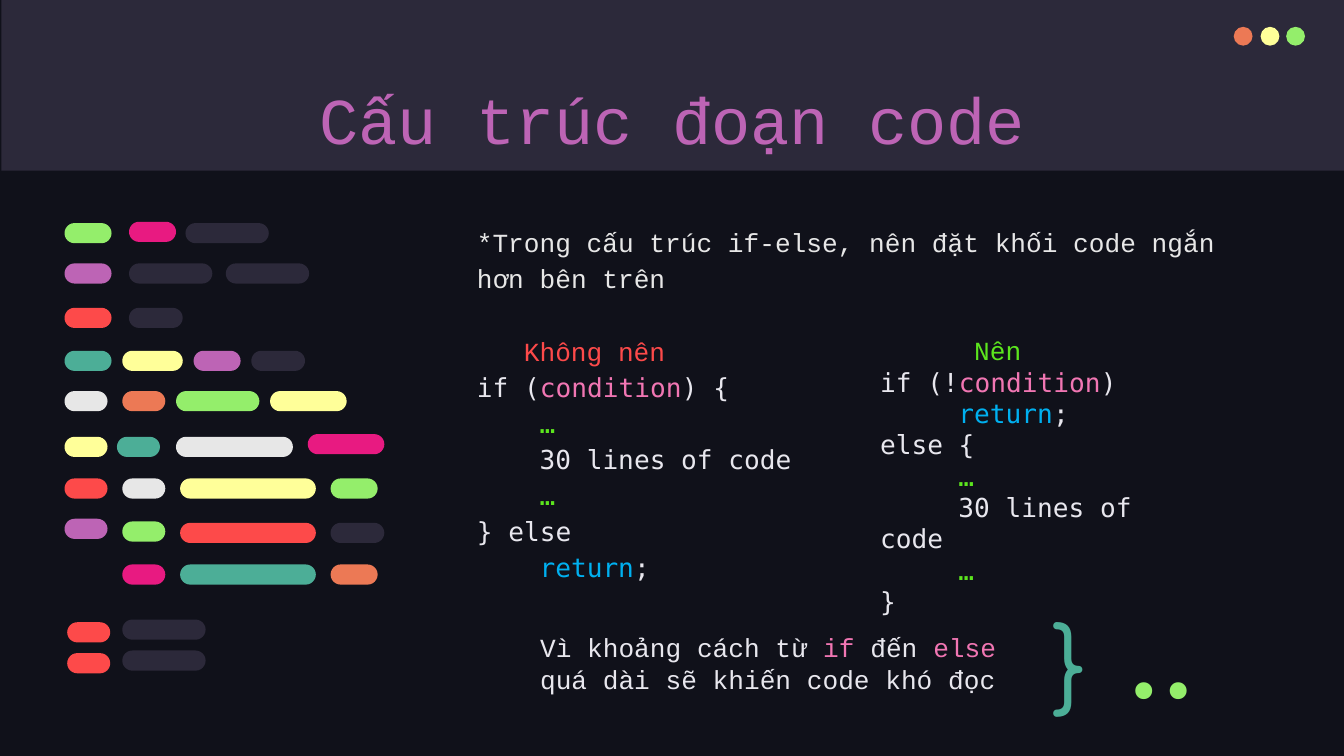
from pptx import Presentation
from pptx.dml.color import RGBColor
from pptx.enum.shapes import MSO_SHAPE
from pptx.enum.text import MSO_ANCHOR, PP_ALIGN
from pptx.util import Inches, Pt

RECTANGLE, ELLIPSE, PILL = MSO_SHAPE.RECTANGLE, MSO_SHAPE.OVAL, MSO_SHAPE.ROUNDED_RECTANGLE
TOP, MIDDLE = MSO_ANCHOR.TOP, MSO_ANCHOR.MIDDLE
LEFT, CENTER, RIGHT = PP_ALIGN.LEFT, PP_ALIGN.CENTER, PP_ALIGN.RIGHT

COLORS = {
    "background": "10111A", "panel": "2C293A", "orange": "EC7955",
    "yellow": "FFFF99", "green": "94EE6B", "purple": "BD64B5",
    "magenta": "E81A81", "red": "FD4A4A", "teal": "4CAE97",
    "grey": "E7E7E7", "code": "E8E7EE", "pink": "F176B3",
    "lime": "5CE51E", "blue": "00B0F0",
}
SLIDE_WIDTH = 10
SLIDE_HEIGHT = SLIDE_WIDTH * 9 / 16
PROSE, CODE = "Courier New", "DejaVu Sans Mono"
CODE_SIZE = 14
CHARACTER_WIDTH = 0.6 * CODE_SIZE / 72
PILL_HEIGHT = 0.15

TITLE = "Cấu trúc đoạn code"
WINDOW_DOTS = [(9.18, "orange"), (9.38, "yellow"), (9.57, "green")]

# Rows of the decorative code: top, then (left, width, color) of each pill
PILL_ROWS = [
    (1.66, [(0.48, 0.35, "green"), (1.38, 0.62, "panel")]),
    (1.65, [(0.96, 0.35, "magenta")]),
    (1.96, [(0.48, 0.35, "purple"), (0.96, 0.62, "panel"), (1.68, 0.62, "panel")]),
    (2.29, [(0.48, 0.35, "red"), (0.96, 0.4, "panel")]),
    (2.61, [(0.48, 0.35, "teal"), (0.91, 0.45, "yellow"), (1.44, 0.35, "purple"),
            (1.87, 0.4, "panel")]),
    (2.91, [(0.48, 0.32, "grey"), (0.91, 0.32, "orange"), (1.31, 0.62, "green"),
            (2.01, 0.57, "yellow")]),
    (3.25, [(0.48, 0.32, "yellow"), (0.87, 0.32, "teal"), (1.31, 0.87, "grey")]),
    (3.23, [(2.29, 0.57, "magenta")]),
    (3.56, [(0.48, 0.32, "red"), (0.91, 0.32, "grey"), (1.34, 1.01, "yellow"),
            (2.46, 0.35, "green")]),
    (3.86, [(0.48, 0.32, "purple")]),
    (3.88, [(0.91, 0.32, "green")]),
    (3.89, [(1.34, 1.01, "red"), (2.46, 0.4, "panel")]),
    (4.2, [(0.91, 0.32, "magenta"), (1.34, 1.01, "teal"), (2.46, 0.35, "orange")]),
    (4.61, [(0.91, 0.62, "panel")]),
    (4.63, [(0.5, 0.32, "red")]),
    (4.84, [(0.91, 0.62, "panel")]),
    (4.86, [(0.5, 0.32, "red")]),
]

# Lines of text: indent in characters, font, then (text, color) of each run
ADVICE = [(0, PROSE, [("*Trong cấu trúc if-else, nên đặt khối code ngắn hơn bên trên", "grey")])]
AVOID = [
    (3, PROSE, [("Không nên", "red")]),
    (0, CODE, [("if (", "code"), ("condition", "pink"), (") {", "code")]),
    (4, CODE, [("…", "lime")]),
    (4, CODE, [("30 lines of code", "code")]),
    (4, CODE, [("…", "lime")]),
    (0, CODE, [("} else", "code")]),
    (4, CODE, [("return", "blue"), (";", "code")]),
]
PREFER = [
    (6, PROSE, [("Nên", "lime")]),
    (0, CODE, [("if (!", "code"), ("condition", "pink"), (")", "code")]),
    (5, CODE, [("return", "blue"), (";", "code")]),
    (0, CODE, [("else {", "code")]),
    (5, CODE, [("…", "lime")]),
    (5, CODE, [("30 lines of code", "code")]),
    (5, CODE, [("…", "lime")]),
    (0, CODE, [("}", "code")]),
]
REASON = [(0, PROSE, [
    ("Vì khoảng cách từ ", "code"), ("if ", "pink"), ("đến ", "code"),
    ("else ", "pink"), ("quá dài sẽ khiến code khó đọc", "code"),
])]
BRACE = [(0, "Comfortaa", [("}", "teal")])]
DOTS = [(0, "Fira Code", [("..", "green")])]


def rgb(name):
    return RGBColor.from_string(COLORS[name])


def add_filled_shape(slide, kind, left, top, width, height, color):
    shape = slide.shapes.add_shape(
        kind, Inches(left), Inches(top), Inches(width), Inches(height))
    shape.shadow.inherit = False
    shape.fill.solid()
    shape.fill.fore_color.rgb = rgb(color)
    shape.line.fill.background()
    return shape


def write_lines(frame, lines, size=CODE_SIZE, align=LEFT, spacing=1.0,
                anchor=TOP, vertical_inset=0.1):
    frame.word_wrap = True
    frame.vertical_anchor = anchor
    frame.margin_left = frame.margin_right = Inches(0.1)
    frame.margin_top = frame.margin_bottom = Inches(vertical_inset)
    for index, (indent, font, runs) in enumerate(lines):
        paragraph = frame.add_paragraph() if index else frame.paragraphs[0]
        paragraph.alignment = align
        paragraph.line_spacing = spacing
        properties = paragraph._p.get_or_add_pPr()
        properties.set("marL", "0")
        properties.set("indent", str(Inches(indent * CHARACTER_WIDTH)))
        for text, color in runs:
            run = paragraph.add_run()
            run.text = text
            run.font.name = font
            run.font.size = Pt(size)
            run.font.color.rgb = rgb(color)


def add_text(slide, left, top, width, height, lines, **style):
    box = slide.shapes.add_textbox(
        Inches(left), Inches(top), Inches(width), Inches(height))
    write_lines(box.text_frame, lines, **style)
    return box


def add_title(slide):
    title = slide.shapes.title
    title.left, title.top = Inches(0.79), Inches(0.49)
    title.width, title.height = Inches(8.43), Inches(0.63)
    write_lines(title.text_frame, [(0, PROSE, [(TITLE, "purple")])], size=35, align=CENTER)
    # Bring the title in front of the header bar
    title.element.getparent().append(title.element)


def main():
    presentation = Presentation()
    presentation.slide_width = Inches(SLIDE_WIDTH)
    presentation.slide_height = Inches(SLIDE_HEIGHT)
    slide = presentation.slides.add_slide(presentation.slide_layouts[5])
    slide.background.fill.solid()
    slide.background.fill.fore_color.rgb = rgb("background")

    add_filled_shape(slide, RECTANGLE, 0.01, 0, SLIDE_WIDTH, 1.27, "panel")
    for left, color in WINDOW_DOTS:
        add_filled_shape(slide, ELLIPSE, left, 0.2, 0.14, 0.14, color)
    add_title(slide)

    for top, pills in PILL_ROWS:
        for left, width, color in pills:
            pill = add_filled_shape(slide, PILL, left, top, width, PILL_HEIGHT, color)
            pill.adjustments[0] = 0.5

    explanation = add_text(slide, 3.45, 1.55, 5.77, 2.65, ADVICE + AVOID, spacing=1.15)
    explanation.text_frame.paragraphs[len(ADVICE)].space_before = Pt(19.5)
    add_text(slide, 7.73, 4.38, 0.57, 0.83, BRACE, size=50)
    add_text(slide, 8.1, 4.62, 1.07, 0.6, DOTS, size=50, align=RIGHT, anchor=MIDDLE)
    add_text(slide, 6.45, 2.44, 2.64, 1.99, PREFER, vertical_inset=0.05)
    add_text(slide, 3.92, 4.65, 3.89, 0.57, REASON, vertical_inset=0.05)

    presentation.save("out.pptx")


if __name__ == "__main__":
    main()
